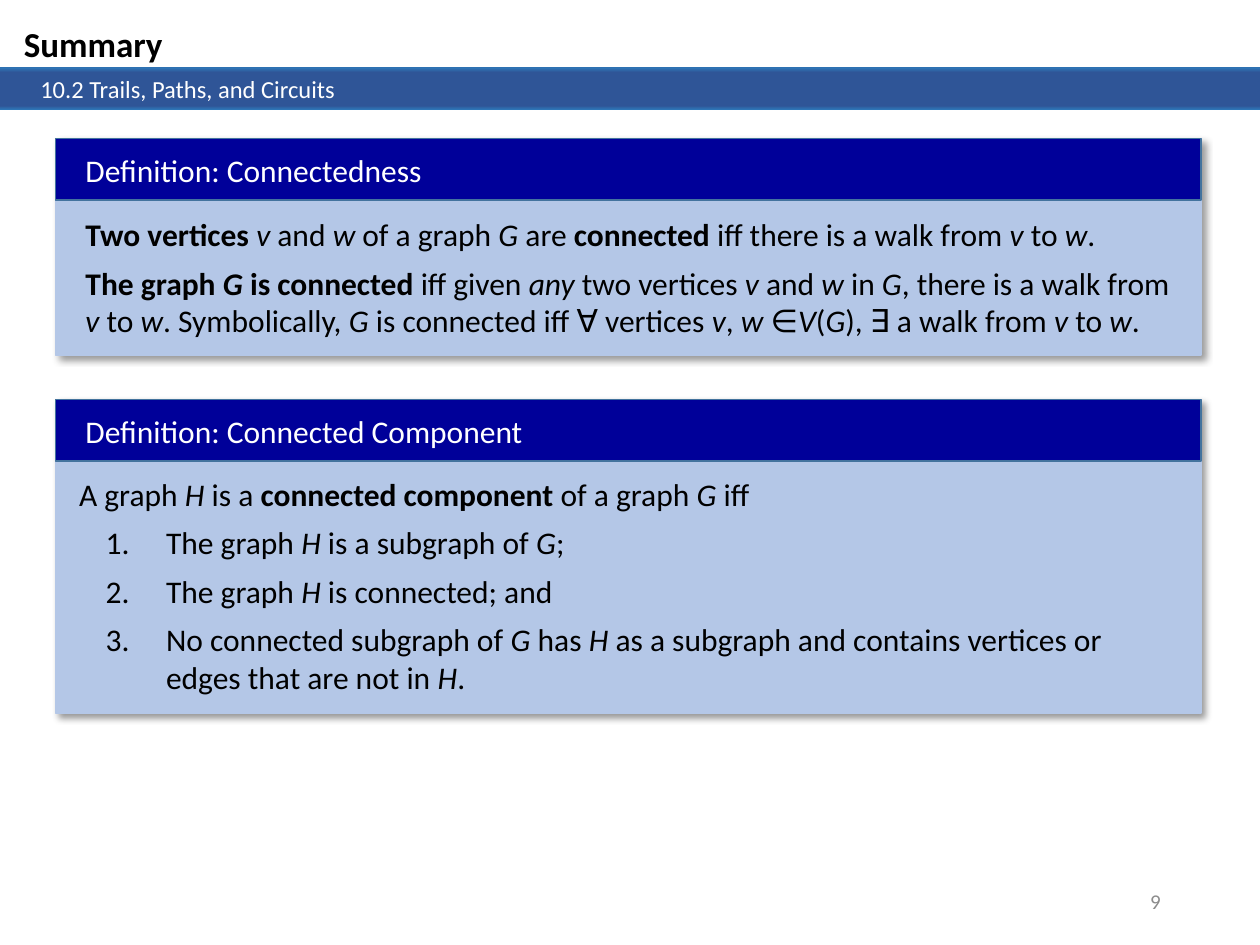
"""Build the summary slide on connectedness in graphs."""
from dataclasses import dataclass
from lxml import etree
from pptx import Presentation, dml, oxml, util as u
from pptx.dml import color
from pptx.enum import shapes, text
from pptx.oxml import ns

TITLE = "Summary"
TOPIC = "10.2 Trails, Paths, and Circuits"
PAGE = "9"
BARS = [(0.53, 0.3, ""), (0.54, 0.33, TOPIC)]
CARDS = [
    dict(
        head="Definition: Connectedness", top=1.1, high=1.72,
        body=(0.58, 1.66, 8.92, 1.09),
        lines=[
            "*Two vertices *_v_ and _w_ of a graph _G_ are *connected *"
            "iff there is a walk from _v_ to _w_.",
            "*The graph _G_ is connected *iff given _any_ two vertices _v_ and _w_"
            " in _G_, there is a walk from _v_ to _w_. Symbolically, _G_ is connected"
            " iff ∀ vertices _v_, _w_ ∈_V_(_G_), ∃ a walk from _v_ to _w_.",
        ],
        steps=[],
    ),
    dict(
        head="Definition: Connected Component", top=3.17, high=2.49,
        body=(0.53, 3.72, 8.56, 1.87),
        lines=["A graph _H_ is a *connected component* of a graph _G _iff"],
        steps=[
            "The graph _H_ is a subgraph of _G_;",
            "The graph _H_ is connected; and",
            "No connected subgraph of _G_ has _H_ as a subgraph and contains"
            " vertices or edges that are not in _H_.",
        ],
    ),
]


@dataclass(frozen=True)
class Theme:
    """Colours, font and type sizes."""
    font: str = "Calibri"
    ink: str = "000000"
    pale: str = "FFFFFF"
    grey: str = "8C8C8C"
    card: str = "B4C7E7"
    head: str = "000099"
    edge: str = "43739E"
    fade: tuple = ((0, "2E75B6"), (11, "2F5597"), (91, "2F5597"), (100, "2E75B6"))
    title: int = 20
    body: int = 18
    topic: int = 14
    page: int = 12


T = Theme()
A = ns.nsdecls("a")


def rgb(code):
    return color.RGBColor.from_string(code)


def place(box):
    return [u.Inches(n) for n in box]


def style(para, size, tint, bold=None):
    font = para.font
    font.name, font.size, font.bold = T.font, u.Pt(size), bold
    font.color.rgb = rgb(tint)


def write(para, line):
    for i, part in enumerate(line.split("*")):
        for j, piece in enumerate(part.split("_")):
            if piece:
                run = para.add_run()
                run.text = piece
                if i % 2:
                    run.font.bold = True
                if j % 2:
                    run.font.italic = True


def label(host, box, lines, size, tint, bold=None, gap=None):
    frame = host.add_textbox(*place(box)).text_frame
    frame.word_wrap = True
    for i, line in enumerate(lines):
        para = frame.add_paragraph() if i else frame.paragraphs[0]
        style(para, size, tint, bold)
        if gap:
            para.space_after = u.Pt(gap)
        write(para, line)
    return frame


def block(host, box, fill=None, line=None):
    shape = host.add_shape(shapes.MSO_SHAPE.RECTANGLE, *place(box))
    shape.shadow.inherit = False
    if fill:
        shape.fill.solid()
        shape.fill.fore_color.rgb = rgb(fill)
    if line:
        shape.line.color.rgb = rgb(line)
        shape.line.width = u.Pt(1)
    else:
        shape.line.fill.background()
    return shape


def fade(shape):
    stops = "".join(
        f'<a:gs pos="{pos * 1000}"><a:srgbClr val="{code}"/></a:gs>'
        for pos, code in T.fade)
    grad = oxml.parse_xml(
        f'<a:gradFill {A} rotWithShape="1"><a:gsLst>{stops}</a:gsLst>'
        '<a:lin ang="5400000" scaled="0"/></a:gradFill>')
    shape.element.spPr.find(ns.qn("a:prstGeom")).addnext(grad)


def shade(shape):
    glow = etree.SubElement(
        shape.element.spPr.find(ns.qn("a:effectLst")), ns.qn("a:outerShdw"),
        blurRad=str(u.Pt(4)), dist=str(u.Pt(3)), dir="2700000",
        algn="tl", rotWithShape="0")
    tint = etree.SubElement(glow, ns.qn("a:srgbClr"), val=T.ink)
    etree.SubElement(tint, ns.qn("a:alpha"), val="40000")


def number(para):
    props = para._p.get_or_add_pPr()
    props.set("marL", str(u.Inches(0.69)))
    props.set("indent", str(u.Inches(-0.48)))
    etree.SubElement(props, ns.qn("a:buFont"), typeface="+mj-lt")
    etree.SubElement(props, ns.qn("a:buAutoNum"), type="arabicPeriod")
    tail = props.find(ns.qn("a:defRPr"))
    if tail is not None:
        props.append(tail)


def define(slide, card):
    host = slide.shapes.add_group_shape().shapes
    left, wide, top = 0.44, 9.09, card["top"]
    shade(block(host, (left, top, wide, card["high"]), T.card, T.card))
    block(host, (left, top, wide, 0.49), T.head, T.edge)
    label(host, (0.58, top + 0.05, 8.92, 0.4), [card["head"]], T.body, T.pale)
    lines = card["lines"] + card["steps"]
    frame = label(host, card["body"], lines, T.body, T.ink, gap=6)
    for para in frame.paragraphs[len(card["lines"]):]:
        number(para)


def main():
    deck = Presentation()
    deck.slide_width, deck.slide_height = u.Inches(10), u.Inches(7.5)
    slide = deck.slides.add_slide(deck.slide_layouts[6])
    for top, high, words in BARS:
        bar = block(slide.shapes, (0, top, 10, high))
        fade(bar)
        if words:
            frame = bar.text_frame
            frame.margin_left = u.Inches(0.32)
            frame.vertical_anchor = text.MSO_ANCHOR.TOP
            para = frame.paragraphs[0]
            para.alignment = text.PP_ALIGN.LEFT
            style(para, T.topic, T.pale)
            write(para, words)
    page = label(slide.shapes, (7.06, 6.95, 2.25, 0.4), [PAGE], T.page, T.grey)
    page.vertical_anchor = text.MSO_ANCHOR.MIDDLE
    page.paragraphs[0].alignment = text.PP_ALIGN.RIGHT
    label(slide.shapes, (0.09, 0.13, 2.69, 0.44), [TITLE], T.title, T.ink, True)
    for card in CARDS:
        define(slide, card)
    deck.save("out.pptx")


main()
